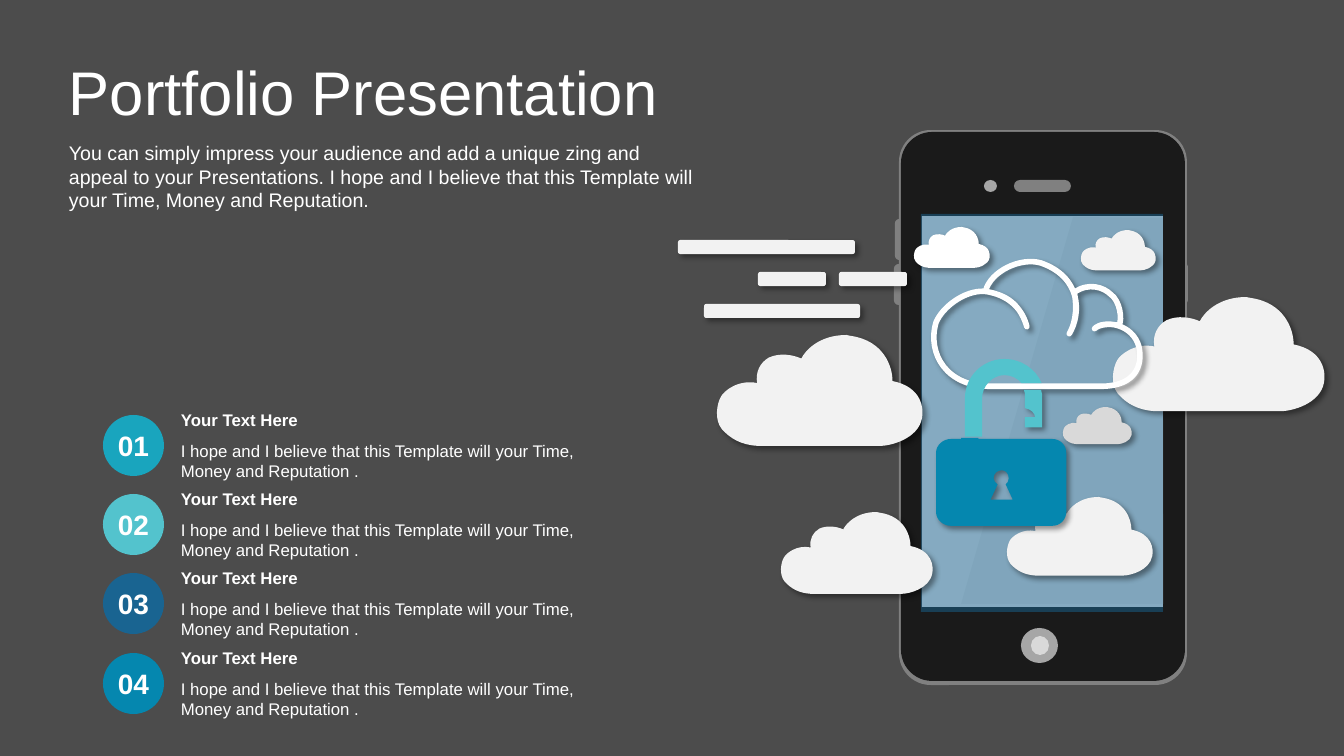
"""Builds the Portfolio Presentation slide: numbered points beside a cloud-security phone."""
from lxml.etree import SubElement
from pptx import Presentation
from pptx.dml.color import RGBColor
from pptx.enum.shapes import MSO_SHAPE
from pptx.enum.text import MSO_ANCHOR, PP_ALIGN
from pptx.oxml.ns import qn
from pptx.util import Pt

PX = 914400 / 100.8
FONT = "Arial"
COLORS = {
    "backdrop": "4C4C4C", "white": "FFFFFF", "cloud": "F2F2F2", "dim": "D9D9D9",
    "metal": "808080", "button": "A6A6A6", "face": "1A1A1A", "glare": "999999",
    "teal": "19A5BE", "aqua": "53C3CD", "navy": "196491", "blue": "0587AF",
}

CLOUD = [(132, 0), (133, 0, 135, 1, 137, 1), (170, 6, 179, 32, 179, 47),
         (209, 53, 211, 75, 209, 85), (205, 106, 177, 113, 167, 113), (41, 113),
         (25, 112, 14, 106, 5, 96), (-3, 86, 0, 70, 4, 63), (7, 57, 22, 45, 41, 49),
         (39, 38, 44, 28, 53, 23), (64, 18, 77, 20, 86, 24), (90, 16, 104, 0, 132, 0)]
CLOUD_WIDTH = 210
LINE_CLOUD = [(57, 124), (168, 124), (199, 123, 207, 104, 203, 85),
              (197, 62, 168, 58, 159, 67), (164, 62, 177, 62, 183, 64),
              (187, 58, 184, 39, 175, 33), (168, 26, 153, 21, 139, 31),
              (141, 42, 142, 58, 134, 72), (146, 52, 146, 16, 106, 2),
              (86, -4, 56, 10, 51, 30), (66, 33, 84, 38, 92, 65),
              (88, 48, 74, 33, 50, 30), (30, 29, 8, 46, 2, 61), (-7, 92, 13, 125, 57, 124)]
SHACKLE_END = [(0, 0), (17, 0), (17, 2, 18, 3, 18, 4), (18, 37), (1, 37), (1, 27),
               (11, 27), (11, 23, 7, 19, 1, 18), (1, 7), (1, 4, 1, 2, 0, 0)]
SHACKLE = [(39, 0), (56, 0, 70, 10, 76, 24), (56, 24), (52, 19, 46, 16, 39, 16),
           (27, 16, 17, 27, 17, 39), (17, 77), (0, 77), (0, 39), (0, 17, 18, 0, 39, 0)]
KEYHOLE = [(65, 32), (61, 32, 57, 35, 57, 40), (57, 42, 59, 45, 61, 46), (54, 61),
           (76, 61), (69, 46), (71, 45, 72, 42, 72, 40), (72, 35, 69, 32, 65, 32)]
LOCK_BODY = [(25, 0), (42, 0), (42, 1), (115, 1), (123, 1, 129, 7, 129, 15), (129, 73),
             (129, 81, 123, 87, 115, 87), (15, 87), (7, 87, 0, 81, 0, 73), (0, 15),
             (0, 7, 7, 1, 15, 1), (25, 1)]
GLARE = [(112, 0), (202, 1), (203, 387), (0, 387)]

prs = Presentation()
prs.slide_width, prs.slide_height = round(1344 * PX), round(756 * PX)
slide = prs.slides.add_slide(prs.slide_layouts[6])
slide.background.fill.solid()
slide.background.fill.fore_color.rgb = RGBColor.from_string(COLORS["backdrop"])


def draw(form, left, top, color, size=None, radius=None, unit=1, alpha=100, shadow=False):
    """Add a preset of a given size, or an outline of line (2) and curve (6) steps."""
    if size:
        shape = slide.shapes.add_shape(form, *(round(v * PX) for v in (left, top, *size)))
        if radius is not None:
            shape.adjustments[0] = radius
    else:
        builder = slide.shapes.build_freeform(*form[0][0], scale=unit * PX)
        for index, contour in enumerate(form):
            if index:
                builder.move_to(*contour[0])
            points = [step[i:i + 2] for step in contour[1:] for i in range(0, len(step), 2)]
            builder.add_line_segments(points, close=True)
        shape = builder.convert_to_shape(round(left * PX), round(top * PX))
        nodes = iter(list(shape.element.iter(qn("a:lnTo"))))
        for step in (step for contour in form for step in contour[1:]):
            node = next(nodes)
            if len(step) == 6:
                node.tag = qn("a:cubicBezTo")
                for control in (next(nodes), next(nodes)):
                    node.append(control[0])
                    control.getparent().remove(control)
    shape.fill.solid()
    shape.fill.fore_color.rgb = RGBColor.from_string(COLORS[color])
    shape.line.fill.background()
    shape.shadow.inherit = False
    if alpha < 100:
        tint = shape.element.spPr.find(qn("a:solidFill"))[0]
        SubElement(tint, qn("a:alpha"), val=str(alpha * 1000))
    if shadow:
        effects = shape.element.spPr.find(qn("a:effectLst"))
        outer = SubElement(effects, qn("a:outerShdw"), blurRad=str(Pt(4)), dist=str(Pt(3)),
                           dir="2700000", algn="tl", rotWithShape="0")
        black = SubElement(outer, qn("a:srgbClr"), val="000000")
        SubElement(black, qn("a:alpha"), val="40000")
    return shape


def write(text, points, bold=False, box=None, host=None):
    """Put white text in a new text box, or in the host shape."""
    host = host or slide.shapes.add_textbox(*(round(v * PX) for v in box))
    frame = host.text_frame
    frame.word_wrap = bool(box)
    frame.text = text
    font = frame.paragraphs[0].runs[0].font
    font.name, font.size, font.bold = FONT, Pt(points), bold
    font.color.rgb = RGBColor.from_string(COLORS["white"])
    return frame


for left, top, width, height, radius, color in [
    (895, 219, 8, 41, 0.5, "metal"), (894, 264, 9, 41, 0.5, "metal"),
    (1180, 263, 8, 41, 0.5, "metal"), (899, 130, 288, 555, 0.11, "metal"),
    (901, 132, 284, 549, 0.11, "face"), (922, 216, 241, 391, 0, "cloud"),
    (1021, 628, 37, 35, 0.5, "button"), (1031, 636, 18, 19, 0.5, "dim"),
    (1014, 180, 57, 12, 0.5, "metal"), (984, 180, 13, 12, 0.5, "button"),
]:
    if radius == 0:
        draw(MSO_SHAPE.RECTANGLE, left, top, color, (width, height))
    elif abs(width - height) < 3:
        draw(MSO_SHAPE.OVAL, left, top, color, (width, height))
    else:
        draw(MSO_SHAPE.ROUNDED_RECTANGLE, left, top, color, (width, height), radius)
draw([GLARE], 961, 217, "glare", alpha=10)

title = write("Portfolio Presentation", 44, box=(59, 56, 650, 79))
title.vertical_anchor = MSO_ANCHOR.MIDDLE
title.paragraphs[0].line_spacing = 0.9
write("You can simply impress your audience and add a unique zing and appeal to your "
      "Presentations. I hope and I believe that this Template will your Time, Money and "
      "Reputation.", 14, box=(59, 136, 656, 82))

for row, color in enumerate(["teal", "aqua", "navy", "blue"]):
    top = 415 + 238 * row // 3
    badge = draw(MSO_SHAPE.OVAL, 103, top, color, (61, 61))
    number = write(f"{row + 1:02}", 20, bold=True, host=badge)
    number.margin_left = number.margin_right = 0
    number.vertical_anchor = MSO_ANCHOR.MIDDLE
    number.paragraphs[0].alignment = PP_ALIGN.CENTER
    write("Your Text Here", 12, bold=True, box=(171, top - 10, 418, 30))
    write("I hope and I believe that this Template will your Time, Money and Reputation .",
          12, box=(171, top + 21, 422, 50))

draw(MSO_SHAPE.RECTANGLE, 921, 214, "navy", (242, 398), alpha=50)
for left, top, width, color in [(717, 335, 206, "cloud"), (1113, 297, 212, "cloud"),
                                (1063, 407, 69, "dim"), (914, 227, 76, "white"),
                                (1081, 230, 75, "cloud")]:
    draw([CLOUD], left, top, color, unit=width / CLOUD_WIDTH, shadow=True)

line_cloud = draw([LINE_CLOUD], 934, 261, "white", unit=1.01, shadow=True)
line_cloud.fill.background()
line_cloud.line.color.rgb = RGBColor.from_string(COLORS["white"])
line_cloud.line.width = Pt(4)

draw([SHACKLE_END], 1024, 390, "aqua", unit=1.01, shadow=True)
draw([SHACKLE], 965, 359, "aqua", unit=1.01)
for left, top, width in [(781, 512, 152), (1007, 497, 146)]:
    draw([CLOUD], left, top, "cloud", unit=width / CLOUD_WIDTH, shadow=True)
draw([KEYHOLE, LOCK_BODY], 936, 438, "blue", unit=1.01, shadow=True)

for left, top, width in [(678, 240, 177), (704, 304, 156), (758, 272, 68), (839, 272, 68)]:
    draw(MSO_SHAPE.ROUNDED_RECTANGLE, left, top, "cloud", (width, 14), shadow=True)

prs.save("out.pptx")
